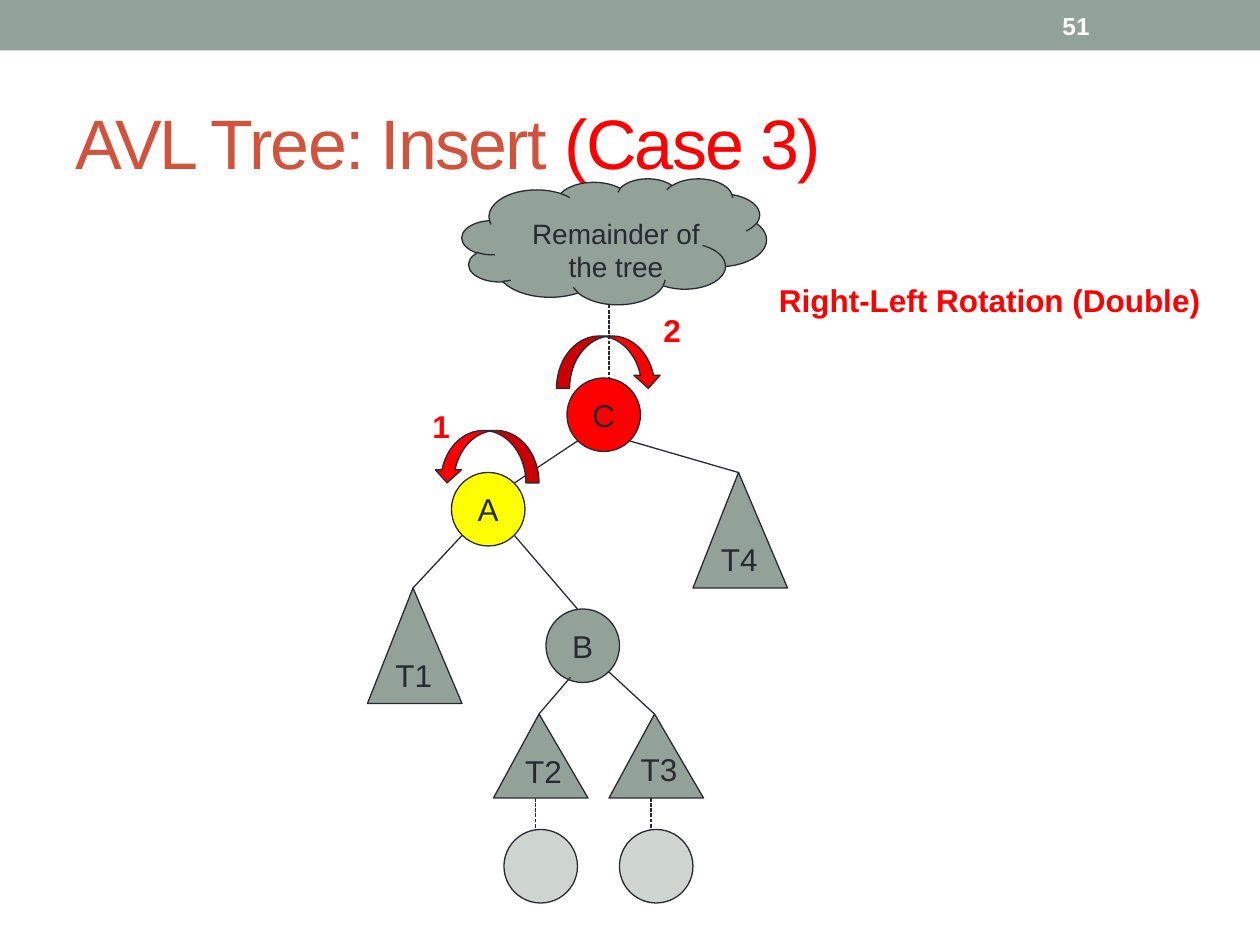
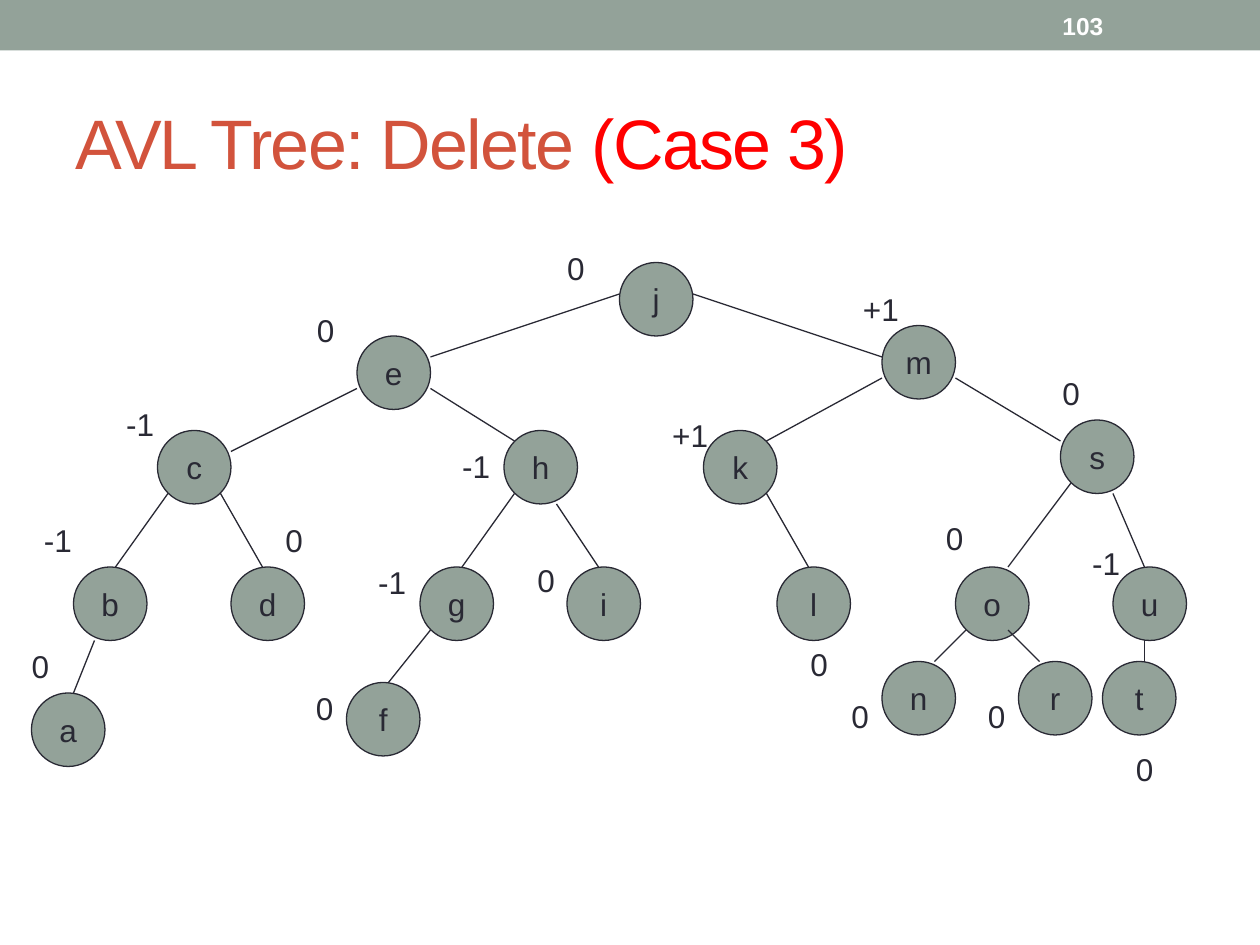
import lxml.etree
import pptx
import pptx.dml.color
import pptx.enum.dml
import pptx.enum.shapes
import pptx.enum.text
import pptx.oxml.ns
import pptx.util

Pt = pptx.util.Pt
qn = pptx.oxml.ns.qn
SHAPE = pptx.enum.shapes.MSO_SHAPE
ALIGN = pptx.enum.text.PP_ALIGN
ANCHOR = pptx.enum.text.MSO_ANCHOR

SAGE, INK, RUST = "93A299", "292934", "D2533C"
RED, YELLOW, WHITE = "FF0000", "FFFF00", "FFFFFF"
FONT = "Arial"
LINE_WIDTH = 0.75
NODE = 42
TRIANGLE_WIDTH = 54
TRIANGLE_PEAK = 0.482

BAND_BOX = (0, 0, 720, 28.8)
TITLE_BOX = (36, 42, 648, 78)
NUMBER_BOX = (600, 1.5, 84, 26)
INSERT_BOX = (210, 102)
DELETE_BOX = (18, 150)

BALANCE_WIDTHS = {"0": 24.5, "-1": 30.5, "+1": 35}

# name: (left, top, balance, balance offset from the node)
DELETE_NODES = {
    "j": (336, 0, "0", (-37, -11)),
    "e": (186, 42, "0", (-30, -18)),
    "m": (486, 36, "+1", (-18, -24)),
    "c": (72, 96, "-1", (-25, -18)),
    "h": (270, 96, "-1", (-31, 6)),
    "k": (384, 96, "+1", (-25, -12)),
    "s": (588, 90, "0", (-6, -30)),
    "b": (24, 174, "-1", (-24, -30)),
    "d": (114, 174, "0", (24, -30)),
    "g": (222, 174, "-1", (-31, -6)),
    "i": (306, 174, "0", (-24, -7)),
    "l": (426, 174, "0", (12, 41)),
    "o": (528, 174, "0", (-12.5, -31)),
    "u": (618, 174, "-1", (-19, -16.5)),
    "a": (0, 246, "0", (-7, -30)),
    "f": (180, 240, "0", (-24.5, 0)),
    "n": (486, 228, "0", (-24.5, 16.5)),
    "r": (564, 228, "0", (-24.5, 16.5)),
    "t": (612, 228, "0", (12, 47)),
}

# parent and child, offset of the line's end within each
DELETE_EDGES = [
    ("je", (0, 18), (42, 12)), ("jm", (42, 18), (0, 18)),
    ("ec", (0, 30), (42, 12)), ("eh", (42, 30), (6, 6)),
    ("mk", (0, 30), (36, 6)), ("ms", (42, 30), (0, 12)),
    ("cb", (6, 36), (24, 0)), ("cd", (36, 36), (18, 0)),
    ("hg", (6, 36), (24, 0)), ("hi", (30, 42), (18, 0)),
    ("kl", (36, 36), (18, 0)), ("gf", (6, 36), (24, 0)),
    ("ba", (12, 42), (24, 0)), ("so", (6, 36), (30, 0)),
    ("su", (30, 42), (18, 0)), ("on", (6, 36), (30, 0)),
    ("or", (30, 36), (12, 0)), ("ut", (18, 42), (24, 0)),
]


def color(value):
    return pptx.dml.color.RGBColor.from_string(value)


def shift(box, left, top, *size):
    """Move a place inside a box to its place on the slide."""
    return (box[0] + left, box[1] + top, *size)


def write(shape, lines, size=18, bold=False, align=ALIGN.LEFT,
          anchor=ANCHOR.TOP, wrap=False):
    """Fill a shape with lines, each a list of (text, colour) runs."""
    frame = shape.text_frame
    for name, value in {"word_wrap": wrap, "vertical_anchor": anchor}.items():
        setattr(frame, name, value)
    for index, runs in enumerate(lines):
        paragraph = frame.add_paragraph() if index else frame.paragraphs[0]
        paragraph.alignment = align
        for text, text_color in runs:
            run = paragraph.add_run()
            run.text = text
            font_format = {"name": FONT, "size": Pt(size), "bold": bold}
            for name, value in font_format.items():
                setattr(run.font, name, value)
            run.font.color.rgb = color(text_color)


def add_text(shapes, place, lines, **text_format):
    shape = shapes.add_textbox(*map(Pt, place))
    write(shape, lines, **text_format)
    return shape


def add_filled(shapes, kind, place, fill=SAGE, text="", outlined=True):
    shape = shapes.add_shape(kind, *map(Pt, place))
    shape.shadow.inherit = False
    shape.fill.solid()
    shape.fill.fore_color.rgb = color(fill)
    if outlined:
        shape.line.color.rgb = color(INK)
        shape.line.width = Pt(LINE_WIDTH)
    else:
        shape.line.fill.background()
    if text:
        write(shape, [[(text, INK)]], align=ALIGN.CENTER, anchor=ANCHOR.MIDDLE)
    return shape


def add_node(shapes, place, text="", fill=SAGE):
    return add_filled(shapes, SHAPE.OVAL, (*place, NODE, NODE), fill, text)


def add_subtree(shapes, place, height, text=""):
    place = (*place, TRIANGLE_WIDTH, height)
    shape = add_filled(shapes, SHAPE.ISOSCELES_TRIANGLE, place, text=text)
    shape.adjustments[0] = TRIANGLE_PEAK


def add_edge(shapes, start, end, dashed=False):
    kind = pptx.enum.shapes.MSO_CONNECTOR.STRAIGHT
    edge = shapes.add_connector(kind, *map(Pt, (*start, *end)))
    edge.line.color.rgb = color(INK)
    edge.line.width = Pt(LINE_WIDTH)
    if dashed:
        edge.line.dash_style = pptx.enum.dml.MSO_LINE.SQUARE_DOT
    lxml.etree.SubElement(edge.element.spPr, qn("a:effectLst"))


def make_translucent(shape, percent):
    fill_color = next(shape.element.spPr.iter(qn("a:srgbClr")))
    alpha = lxml.etree.SubElement(fill_color, qn("a:alpha"))
    alpha.set("val", str(percent * 1000))


def add_frame(presentation, operation, number):
    """Add a slide with its band, title and number."""
    slide = presentation.slides.add_slide(presentation.slide_layouts[6])
    add_filled(slide.shapes, SHAPE.RECTANGLE, BAND_BOX, outlined=False)
    runs = [(f"AVL Tree: {operation} ", RUST), ("(Case 3)", RED)]
    title = add_text(slide.shapes, TITLE_BOX, [runs], size=40,
                     anchor=ANCHOR.MIDDLE, wrap=True)
    for run_format in title.element.iter(qn("a:rPr")):
        run_format.set("spc", "-100")
    add_text(slide.shapes, NUMBER_BOX, [[(number, WHITE)]], size=14, bold=True,
             anchor=ANCHOR.MIDDLE, wrap=True)
    return slide


def add_rotation_tree(shapes, box):
    add_filled(shapes, SHAPE.CLOUD, shift(box, 54, 0, 174, 72))
    add_text(shapes, shift(box, 80, 18, 124, 46),
             [[("Remainder of", INK)], [("the tree", INK)]],
             size=16, align=ALIGN.CENTER, wrap=True)

    for name, left, top, fill in [("A", 48, 168, YELLOW), ("C", 114, 114, RED),
                                  ("B", 102, 246, SAGE)]:
        add_node(shapes, shift(box, left, top), name, fill)
    for name, left, top in [("T4", 186, 168), ("T1", 0, 234)]:
        add_subtree(shapes, shift(box, left, top), 66, name)

    for name, left, text_top in [("T2", 72, 324), ("T3", 138, 323)]:
        add_subtree(shapes, shift(box, left, 306), 48)
        add_text(shapes, shift(box, left + 11, text_top, 36.5, 31),
                 [[(name, INK)]])
        inserted = add_node(shapes, shift(box, left + 6, 372))
        make_translucent(inserted, 45)
        add_edge(shapes, shift(box, left + 24, 354),
                 shift(box, left + 24, 372), dashed=True)

    add_edge(shapes, shift(box, 138, 72), shift(box, 138, 114), dashed=True)
    for start, end in [((120, 150), (84, 174)), ((150, 150), (212, 168)),
                       ((54, 204), (26, 234)), ((84, 204), (120, 246)),
                       ((116, 285), (98, 306)), ((138, 282), (164, 306))]:
        add_edge(shapes, shift(box, *start), shift(box, *end))

    for left, top, flipped in [(108, 90, False), (38, 144, True)]:
        arrow = add_filled(shapes, SHAPE.CURVED_DOWN_ARROW,
                           shift(box, left, top, 60, 30), RED)
        if flipped:
            arrow.element.spPr.xfrm.set("flipH", "1")
    for text, left, top, width in [("1", 30, 127, 25), ("2", 162, 72, 25),
                                   ("Right-Left Rotation (Double)", 228, 55, 265)]:
        add_text(shapes, shift(box, left, top, width, 29), [[(text, RED)]],
                 bold=True)


def add_balanced_tree(shapes, box):
    places = {}
    for name, (left, top, balance, offset) in DELETE_NODES.items():
        places[name] = shift(box, left, top)
        add_node(shapes, places[name], name)
        size = (BALANCE_WIDTHS[balance], 31)
        add_text(shapes, shift(places[name], *offset, *size),
                 [[(balance, INK)]])
    for (parent, child), start, end in DELETE_EDGES:
        add_edge(shapes, shift(places[parent], *start),
                 shift(places[child], *end))


def main():
    presentation = pptx.Presentation()
    presentation.slide_width = Pt(720)
    presentation.slide_height = Pt(540)
    insert_slide = add_frame(presentation, "Insert", "51")
    add_rotation_tree(insert_slide.shapes, INSERT_BOX)
    delete_slide = add_frame(presentation, "Delete", "103")
    tree = delete_slide.shapes.add_group_shape()
    add_balanced_tree(tree.shapes, DELETE_BOX)
    presentation.save("out.pptx")


if __name__ == "__main__":
    main()
